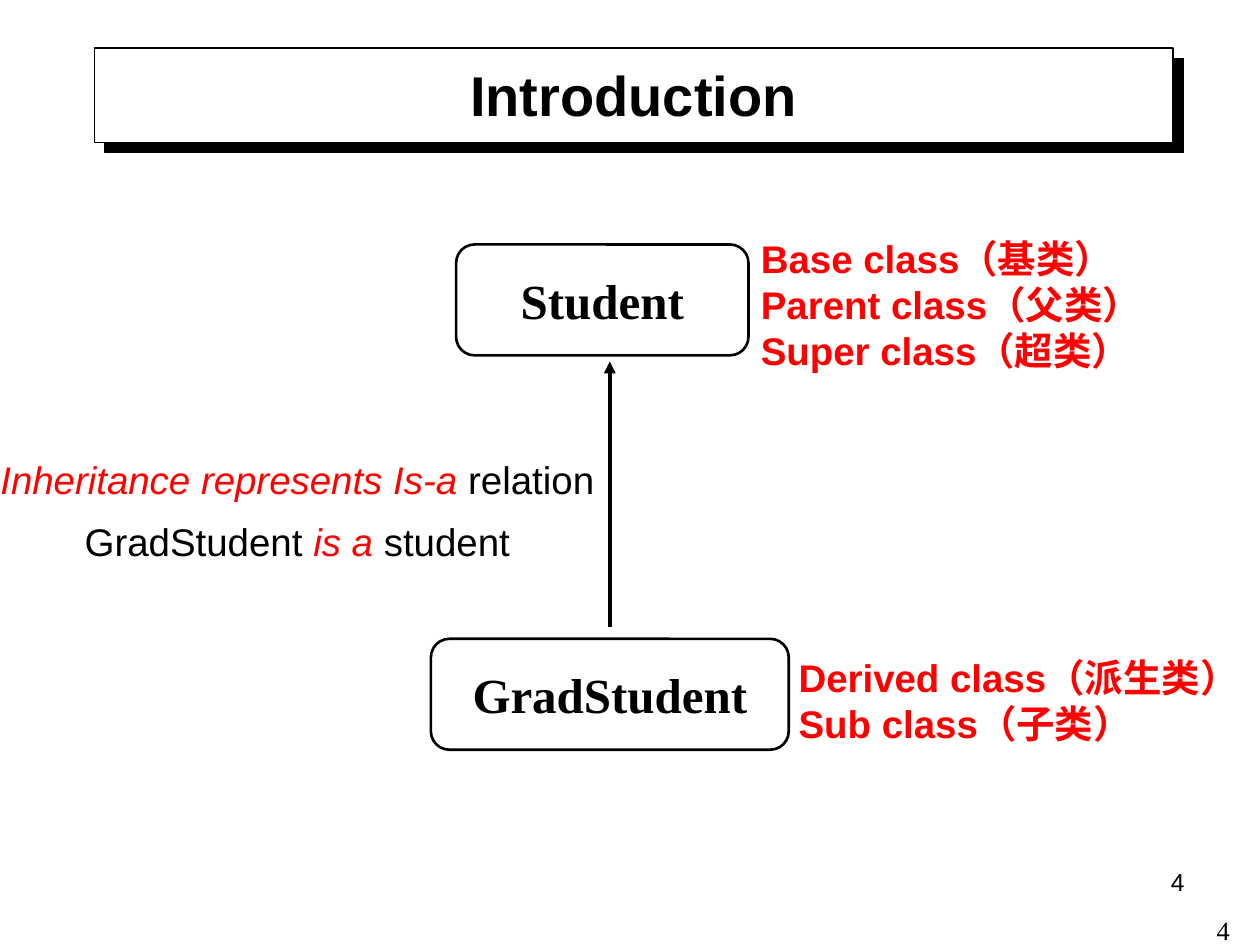
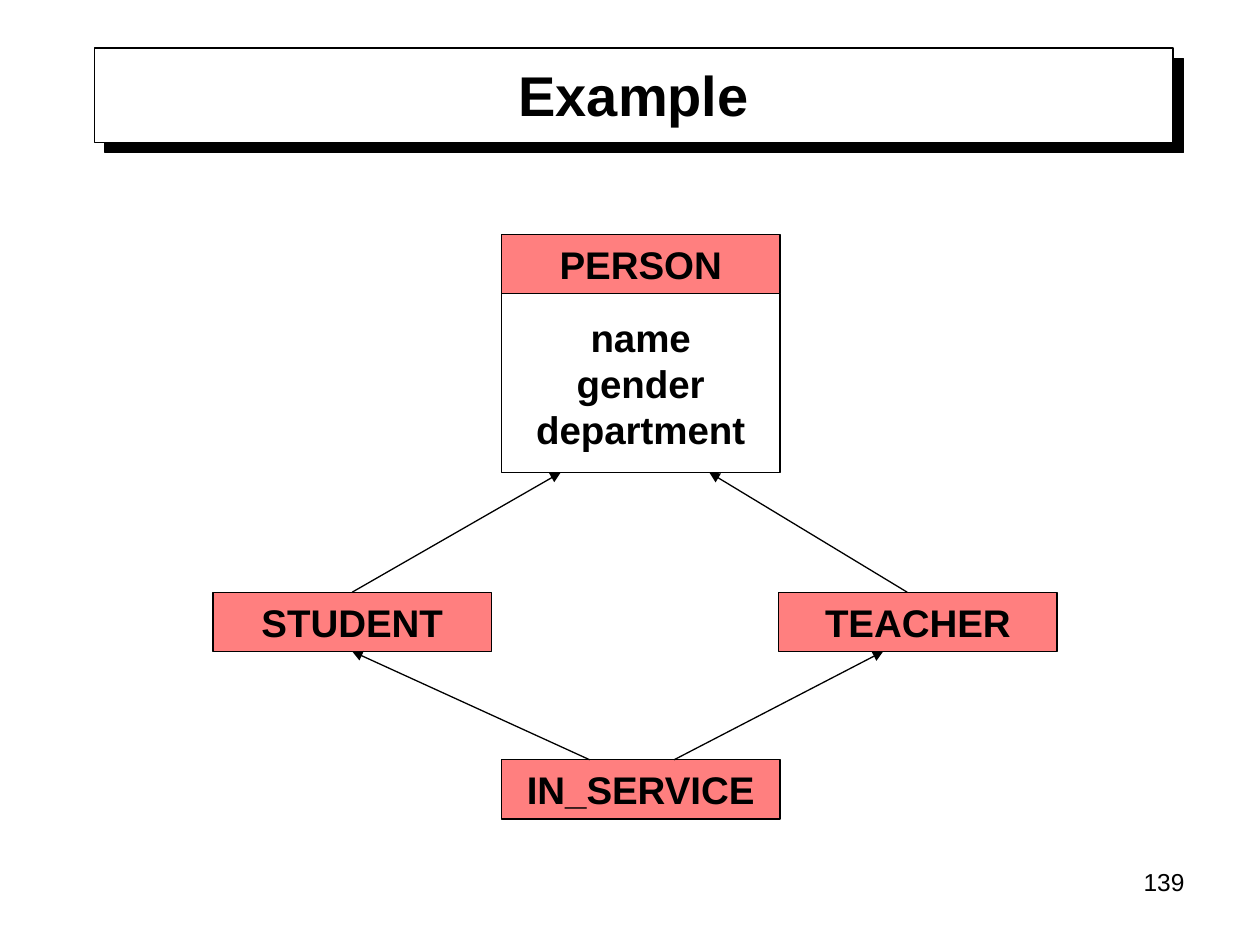
"""Build two slides on class inheritance: the is-a relation and a class diagram."""
from lxml import etree
from pptx import Presentation
from pptx.dml.color import RGBColor
from pptx.enum.shapes import MSO_CONNECTOR, MSO_SHAPE
from pptx.enum.text import MSO_ANCHOR, MSO_AUTO_SIZE, PP_ALIGN
from pptx.oxml import parse_xml
from pptx.oxml.ns import nsdecls, qn
from pptx.util import Inches, Pt

BLACK = RGBColor(0, 0, 0)
WHITE = RGBColor(255, 255, 255)
RED = RGBColor(255, 0, 0)

TITLE = dict(name="Arial", size=Pt(32), bold=True)
NUMBER = dict(name="Arial", size=Pt(14))
CORNER_NUMBER = dict(name="Times New Roman", size=Pt(15))
CLASS_NAME = dict(name="Times New Roman", size=Pt(28), bold=True)
LABEL = dict(name="Arial", size=Pt(22), bold=True)
PLAIN = dict(name="Arial", size=Pt(22))
ITALIC = dict(name="Arial", size=Pt(22), italic=True)


def write(sp, lines, align, wrap=False, anchor=MSO_ANCHOR.MIDDLE, spacing=None):
    """Fill a shape with lines, each a list of (text, font format, colour) runs."""
    tf = sp.text_frame
    frame = dict(word_wrap=wrap, vertical_anchor=anchor, auto_size=MSO_AUTO_SIZE.NONE)
    for key, value in frame.items():
        setattr(tf, key, value)
    for i, runs in enumerate(lines):
        p = tf.add_paragraph() if i else tf.paragraphs[0]
        p.alignment = align
        if spacing:
            p.line_spacing = spacing
        for text, fmt, color in runs:
            r = p.add_run()
            r.text = text
            for key, value in fmt.items():
                setattr(r.font, key, value)
            r.font.color.rgb = color


def add_arrow(s, start, end, width):
    """Draw a black line with an arrowhead at its end."""
    line = s.shapes.add_connector(
        MSO_CONNECTOR.STRAIGHT, *[Inches(v) for v in (*start, *end)])
    line.line.color.rgb = BLACK
    line.line.width = Pt(width)
    spPr = line.element.spPr
    etree.SubElement(spPr.find(qn("a:ln")), qn("a:tailEnd"), type="triangle")
    etree.SubElement(spPr, qn("a:effectLst"))
    return line


prs = Presentation()
prs.slide_width, prs.slide_height = Inches(10), Inches(7.5)
layout = prs.slide_layouts[5]
slides = []

for title, number in [("Introduction", "4"), ("Example", "139")]:
    s = prs.slides.add_slide(layout)
    sp = s.shapes.title
    sp.left, sp.top, sp.width, sp.height = [Inches(v) for v in (0.75, 0.37, 8.56, 0.75)]
    write(sp, [[(title, TITLE, BLACK)]], PP_ALIGN.CENTER, wrap=True)
    sp = s.shapes.add_textbox(Inches(7.17), Inches(6.83), Inches(2.33), Inches(0.52))
    write(sp, [[(number, NUMBER, BLACK)]], PP_ALIGN.RIGHT, wrap=True, anchor=MSO_ANCHOR.TOP)
    slides.append(s)

intro, example = slides

band = intro.shapes.add_shape(
    MSO_SHAPE.RECTANGLE, Inches(0.75), Inches(0.38), Inches(8.56), Inches(0.75))
band.fill.solid()
band.fill.fore_color.rgb = WHITE
band.line.color.rgb = BLACK
band.line.width = Pt(0.75)
band.element.spPr.append(parse_xml(
    f'<a:effectLst {nsdecls("a")}><a:outerShdw dist="{Pt(8.5)}" dir="2700000" algn="ctr" '
    'rotWithShape="0"><a:srgbClr val="000000"/></a:outerShdw></a:effectLst>'))
layout.shapes.element.insert(2, band.element)

sp = intro.shapes.add_textbox(Inches(7.36), Inches(7.21), Inches(2.5), Inches(0.52))
write(sp, [[("4", CORNER_NUMBER, BLACK)]], PP_ALIGN.RIGHT, wrap=True, anchor=MSO_ANCHOR.TOP)

for name, x, y, w in [("Student", 3.62, 1.94, 2.32), ("GradStudent", 3.42, 5.07, 2.84)]:
    sp = intro.shapes.add_shape(
        MSO_SHAPE.ROUNDED_RECTANGLE, Inches(x), Inches(y), Inches(w), Inches(0.88))
    sp.shadow.inherit = False
    sp.fill.background()
    sp.line.color.rgb = BLACK
    sp.line.width = Pt(1.5)
    for side in ("left", "top", "right", "bottom"):
        setattr(sp.text_frame, f"margin_{side}", 0)
    write(sp, [[(name, CLASS_NAME, BLACK)]], PP_ALIGN.CENTER)

add_arrow(intro, (4.84, 4.98), (4.84, 2.87), 2.25)

synonyms = [
    (5.94, 1.78, ["Base class（基类）", "Parent class（父类）", "Super class（超类）"]),
    (6.24, 4.92, ["Derived class（派生类）", "Sub class（子类）"]),
]
for x, y, names in synonyms:
    sp = intro.shapes.add_textbox(Inches(x), Inches(y), Inches(2.93), Inches(1.27))
    write(sp, [[(name, LABEL, RED)] for name in names], PP_ALIGN.LEFT)

sp = intro.shapes.add_textbox(Inches(0.51), Inches(3.35), Inches(3.7), Inches(1.27))
write(sp, [
    [("Inheritance represents Is-a", ITALIC, RED), (" relation", PLAIN, BLACK)],
    [("GradStudent ", PLAIN, BLACK), ("is a", ITALIC, RED), (" student", PLAIN, BLACK)],
], PP_ALIGN.CENTER, spacing=1.35)

boxes = {}
for names, x, y, h in [
    (["PERSON"], 3.98, 1.86, 0.47),
    (["name", "gender", "department"], 3.98, 2.33, 1.42),
    (["STUDENT"], 1.69, 4.7, 0.47),
    (["TEACHER"], 6.18, 4.7, 0.47),
    (["IN_SERVICE"], 3.98, 6.03, 0.47),
]:
    sp = example.shapes.add_shape(
        MSO_SHAPE.RECTANGLE, Inches(x), Inches(y), Inches(2.21), Inches(h))
    sp.shadow.inherit = False
    if len(names) == 1:
        sp.fill.solid()
        sp.fill.fore_color.rgb = RED
        color = sp.element.spPr.find(qn("a:solidFill")).find(qn("a:srgbClr"))
        etree.SubElement(color, qn("a:alpha"), val="50000")
    else:
        sp.fill.background()
    sp.line.color.rgb = BLACK
    sp.line.width = Pt(0.75)
    write(sp, [[(name, LABEL, BLACK)] for name in names], PP_ALIGN.CENTER)
    boxes[names[0]] = sp

student_up = add_arrow(example, (2.8, 4.7), (4.45, 3.75), 0.75)
student_up.begin_connect(boxes["STUDENT"], 0)
add_arrow(example, (7.2, 4.7), (5.63, 3.75), 0.75)
service_up = add_arrow(example, (4.68, 6.03), (2.8, 5.17), 0.75)
service_up.end_connect(boxes["STUDENT"], 2)
add_arrow(example, (5.35, 6.03), (7.01, 5.17), 0.75)

prs.save("out.pptx")
